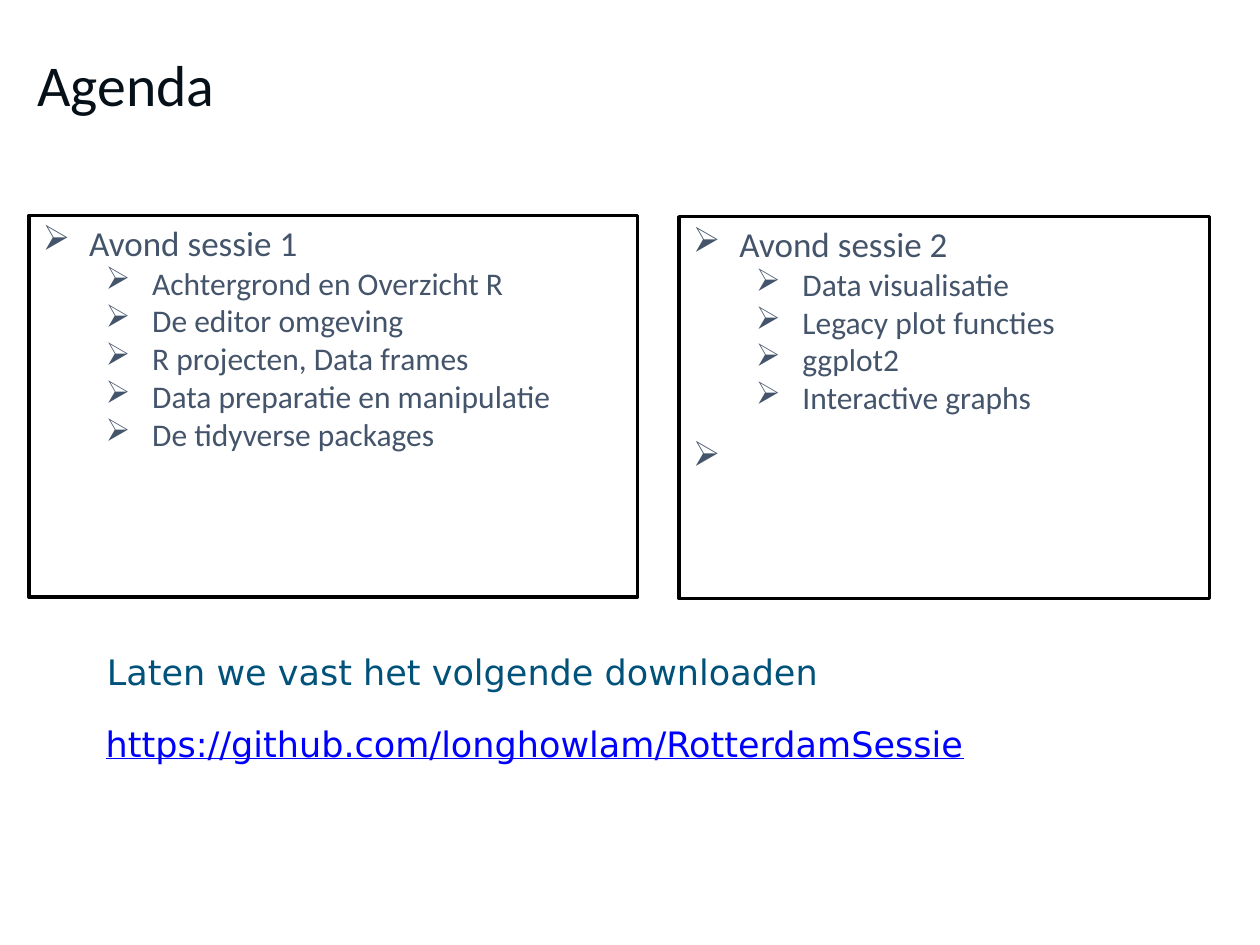
from lxml.etree import SubElement
from pptx import Presentation
from pptx.dml.color import RGBColor
from pptx.enum.shapes import MSO_SHAPE
from pptx.enum.text import MSO_ANCHOR, PP_ALIGN
from pptx.oxml.ns import qn
from pptx.util import Inches, Pt


def color(hex_value):
    return RGBColor.from_string(hex_value)


def style(paragraph, size, name, hex_value):
    paragraph.font.size = Pt(size)
    paragraph.font.name = name
    paragraph.font.color.rgb = color(hex_value)


SLATE = "44546A"

prs = Presentation()
prs.slide_width = Inches(10)
prs.slide_height = Inches(7.5)
slide = prs.slides.add_slide(prs.slide_layouts[6])

lines = [
    ("Agenda", 0.2, 0.17, 8.62, 0.98, 33, "Calibri", "061018"),
    ("Laten we vast het volgende downloaden", 0.75, 5.15, 8.23, 0.43, 20, "DejaVu Sans", "00527A"),
    ("https://github.com/longhowlam/RotterdamSessie", 0.74, 5.72, 7.01, 0.43, 20, "DejaVu Sans", "0000FF"),
]
for text, left, top, width, height, size, name, hex_value in lines:
    frame = slide.shapes.add_textbox(
        Inches(left), Inches(top), Inches(width), Inches(height)
    ).text_frame
    frame.word_wrap = True
    paragraph = frame.paragraphs[0]
    paragraph.text = text
    style(paragraph, size, name, hex_value)
    if text == "Agenda":
        frame.vertical_anchor = MSO_ANCHOR.MIDDLE
    else:
        paragraph.line_spacing = 0.9
    if text.startswith("https"):
        paragraph.font.underline = True

sessions = [
    (0.23, 1.71, 4.83, [
        ("Avond sessie 1", 0),
        ("Achtergrond en Overzicht R", 1),
        ("De editor omgeving", 1),
        ("R projecten, Data frames", 1),
        ("Data preparatie en manipulatie", 1),
        ("De tidyverse packages", 1),
    ]),
    (5.39, 1.72, 4.21, [
        ("Avond sessie 2", 0),
        ("Data visualisatie", 1),
        ("Legacy plot functies", 1),
        ("ggplot2", 1),
        ("Interactive graphs", 1),
        (" ", 0),
    ]),
]
for left, top, width, topics in sessions:
    session = slide.shapes.add_shape(
        MSO_SHAPE.RECTANGLE, Inches(left), Inches(top), Inches(width), Inches(3.03)
    )
    session.shadow.inherit = False
    session.fill.solid()
    session.fill.fore_color.rgb = color("FFFFFF")
    session.line.color.rgb = color("000000")
    session.line.width = Pt(2)
    frame = session.text_frame
    frame.word_wrap = True
    frame.vertical_anchor = MSO_ANCHOR.TOP
    for index, (topic, level) in enumerate(topics):
        paragraph = frame.add_paragraph() if index else frame.paragraphs[0]
        paragraph.text = topic
        paragraph.level = level
        paragraph.alignment = PP_ALIGN.LEFT
        if topic == " ":
            paragraph.line_spacing = 1.5
        properties = paragraph._p.get_or_add_pPr()
        properties.set("marL", str(Inches(0.38 + 0.5 * level)))
        properties.set("indent", str(Inches(-0.37)))
        bullet_color = SubElement(properties, qn("a:buClr"))
        SubElement(bullet_color, qn("a:srgbClr"), val=SLATE)
        SubElement(properties, qn("a:buChar"), char="➢")
        style(paragraph, 20 - 2 * level, "Calibri", SLATE)

prs.save("out.pptx")
